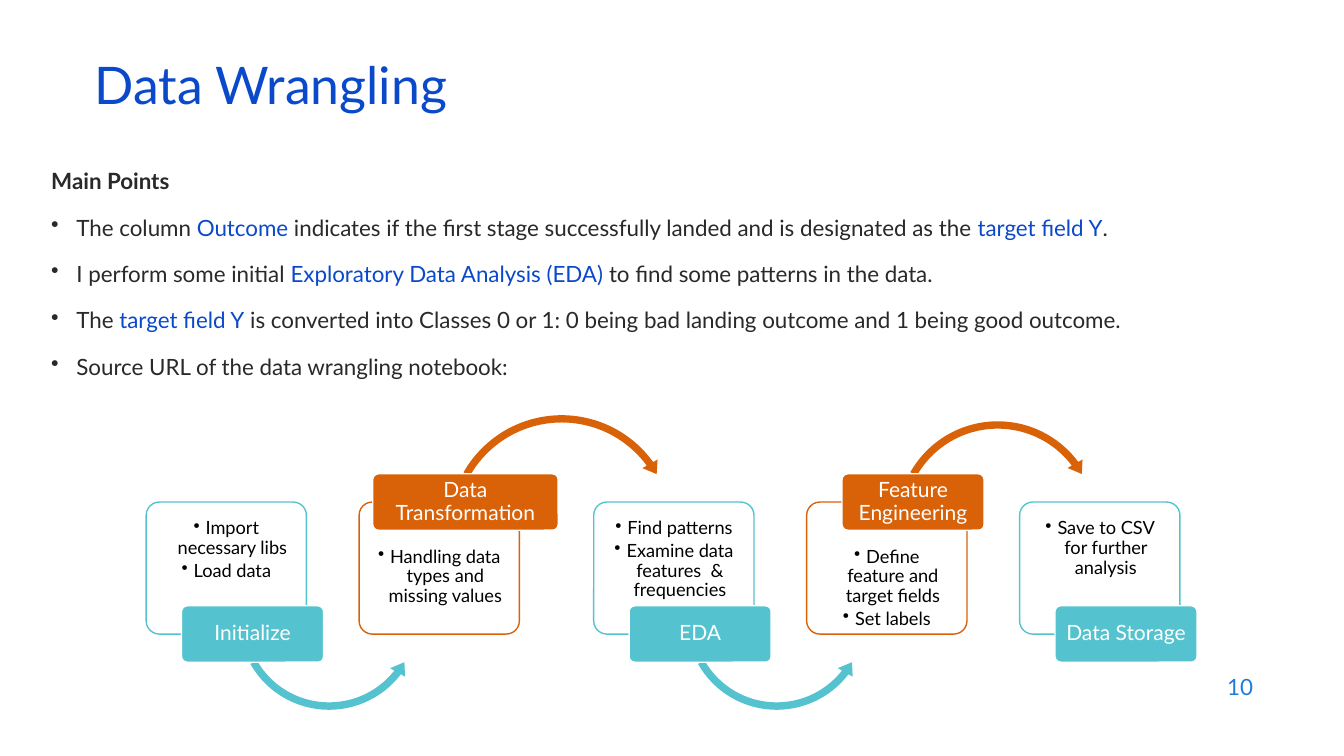
"""Build the Data Wrangling slide: main points above a five-step process flow."""
import pptx
import pptx.dml.color
import pptx.enum.shapes
import pptx.enum.text
import pptx.oxml.ns
import pptx.util
from lxml import etree

Pt = pptx.util.Pt
SHAPE = pptx.enum.shapes.MSO_SHAPE
ALIGN = pptx.enum.text.PP_ALIGN
ANCHOR = pptx.enum.text.MSO_ANCHOR

FONT = "Lato"
BLUE, INK, TEAL, ORANGE = "0B49CB", "292929", "55C3CF", "D96209"
WHITE, BLACK, PAGE_BLUE = "FFFFFF", "000000", "1C7DDB"

TITLE = "Data Wrangling"
PAGE = "10"
HEADING = "Main Points"
# Plain and highlighted pieces alternate within each point.
POINTS = [
    ["The column ", "Outcome",
     " indicates if the first stage successfully landed and is designated as the ",
     "target field Y", "."],
    ["I perform some initial ", "Exploratory Data Analysis (EDA)",
     " to find some patterns in the data."],
    ["The ", "target field Y",
     " is converted into Classes 0 or 1: 0 being bad landing outcome and 1 being good outcome."],
    ["Source URL of the data wrangling notebook:"],
]

LABEL_W, LABEL_H = 101.5, 40.3
CARD_W, CARD_H, CARD_TOP = 114.5, 94.3, 358.6
CARD_LEFT, CARD_STEP = 104.4, 152.1
LABEL_CENTRE = 76

ARC_BELOW = (62.6, 374.4, 136.1, (0.039, 4.867, 22.623, 90.245, 0.045))
ARC_WIDE = (60.5, 293, 168.5, (0.031, 3.864, 194.381, 125.755, 0.037))
ARC_ABOVE = (61.2, 297.4, 150.5, (0.035, 4.356, 193.889, 125.755, 0.041))
STEPS = [
    ("Initialize", LABEL_W, ["Import necessary libs", "Load data"], ARC_BELOW),
    ("Data Transformation", 132.5, ["Handling data types and missing values"], ARC_WIDE),
    ("EDA", LABEL_W, ["Find patterns", "Examine data features  & frequencies"], ARC_BELOW),
    ("Feature Engineering", LABEL_W,
     ["Define feature and target fields", "Set labels"], ARC_ABOVE),
    ("Data Storage", LABEL_W, ["Save to CSV for further analysis"], None),
]


def rgb(color):
    return pptx.dml.color.RGBColor.from_string(color)


def add_run(p, text, size, color, bold=False):
    r = p.add_run()
    r.text = text
    r.font.name, r.font.size, r.font.bold = FONT, Pt(size), bold
    r.font.color.rgb = rgb(color)


def add_bullet(p, indent):
    pPr = p._p.get_or_add_pPr()
    pPr.set("marL", str(Pt(indent)))
    pPr.set("indent", str(-Pt(indent)))
    etree.SubElement(pPr, pptx.oxml.ns.qn("a:buChar")).set("char", "•")


def set_frame(tf, anchor, side=7.2, top=3.6, bottom=3.6):
    tf.word_wrap = True
    tf.vertical_anchor = anchor
    tf.margin_left = tf.margin_right = Pt(side)
    tf.margin_top, tf.margin_bottom = Pt(top), Pt(bottom)
    return tf


def add_text(s, x, y, w, h, anchor):
    sp = s.shapes.add_textbox(Pt(x), Pt(y), Pt(w), Pt(h))
    return set_frame(sp.text_frame, anchor)


def add_shape(s, kind, x, y, w, h, adjustments, fill=None, line=None):
    sp = s.shapes.add_shape(kind, Pt(x), Pt(y), Pt(w), Pt(h))
    sp.shadow.inherit = False
    for i, value in enumerate(adjustments):
        sp.adjustments[i] = value
    if fill:
        sp.fill.solid()
        sp.fill.fore_color.rgb = rgb(fill)
    else:
        sp.fill.background()
    if line:
        sp.line.color.rgb = rgb(line)
        sp.line.width = Pt(1)
    else:
        sp.line.fill.background()
    return sp


def add_step(s, x, label, label_w, items, arc, above):
    color = ORANGE if above else TEAL
    card = add_shape(s, SHAPE.ROUNDED_RECTANGLE, x, CARD_TOP, CARD_W, CARD_H, [0.1], line=color)
    tf = set_frame(card.text_frame, ANCHOR.TOP, 9.5, 29.7 if above else 9.5, 9.5)
    for i, item in enumerate(items):
        p = tf.add_paragraph() if i else tf.paragraphs[0]
        add_bullet(p, 8.64)
        p.alignment, p.line_spacing, p.space_after = ALIGN.CENTER, 0.9, Pt(2)
        add_run(p, item, 13, BLACK)

    if arc:
        dx, y, size, adjustments = arc
        kind = SHAPE.CIRCULAR_ARROW if above else SHAPE.LEFT_CIRCULAR_ARROW
        add_shape(s, kind, x + dx, y, size, size, adjustments, fill=color)

    edge = CARD_TOP if above else CARD_TOP + CARD_H
    sp = add_shape(s, SHAPE.ROUNDED_RECTANGLE, x + LABEL_CENTRE - label_w / 2,
                   edge - LABEL_H / 2, label_w, LABEL_H, [0.1], fill=color, line=WHITE)
    p = set_frame(sp.text_frame, ANCHOR.MIDDLE, 2, 1.4, 1.4).paragraphs[0]
    p.alignment, p.line_spacing = ALIGN.CENTER, 0.9
    add_run(p, label, 15, WHITE)


def main():
    prs = pptx.Presentation()
    prs.slide_width, prs.slide_height = Pt(960), Pt(540)
    s = prs.slides.add_slide(prs.slide_layouts[6])

    p = add_text(s, 686.2, 474.5, 216, 31.7, ANCHOR.MIDDLE).paragraphs[0]
    p.alignment = ALIGN.RIGHT
    add_run(p, PAGE, 16, PAGE_BLUE)

    p = add_text(s, 60.5, 42.5, 828, 43.2, ANCHOR.MIDDLE).paragraphs[0]
    p.line_spacing = 0.8
    add_run(p, TITLE, 37, BLUE)

    tf = add_text(s, 29.5, 115.9, 879, 180, ANCHOR.TOP)
    add_run(tf.paragraphs[0], HEADING, 16, INK, bold=True)
    for point in POINTS:
        p = tf.add_paragraph()
        add_bullet(p, 18)
        p.space_before = Pt(14)
        for i, piece in enumerate(point):
            add_run(p, piece, 16, BLUE if i % 2 else INK)

    x = CARD_LEFT
    for i, (label, label_w, items, arc) in enumerate(STEPS):
        add_step(s, x, label, label_w, items, arc, above=i % 2 == 1)
        x += CARD_STEP + (label_w - LABEL_W) / 2

    prs.save("out.pptx")


if __name__ == "__main__":
    main()
